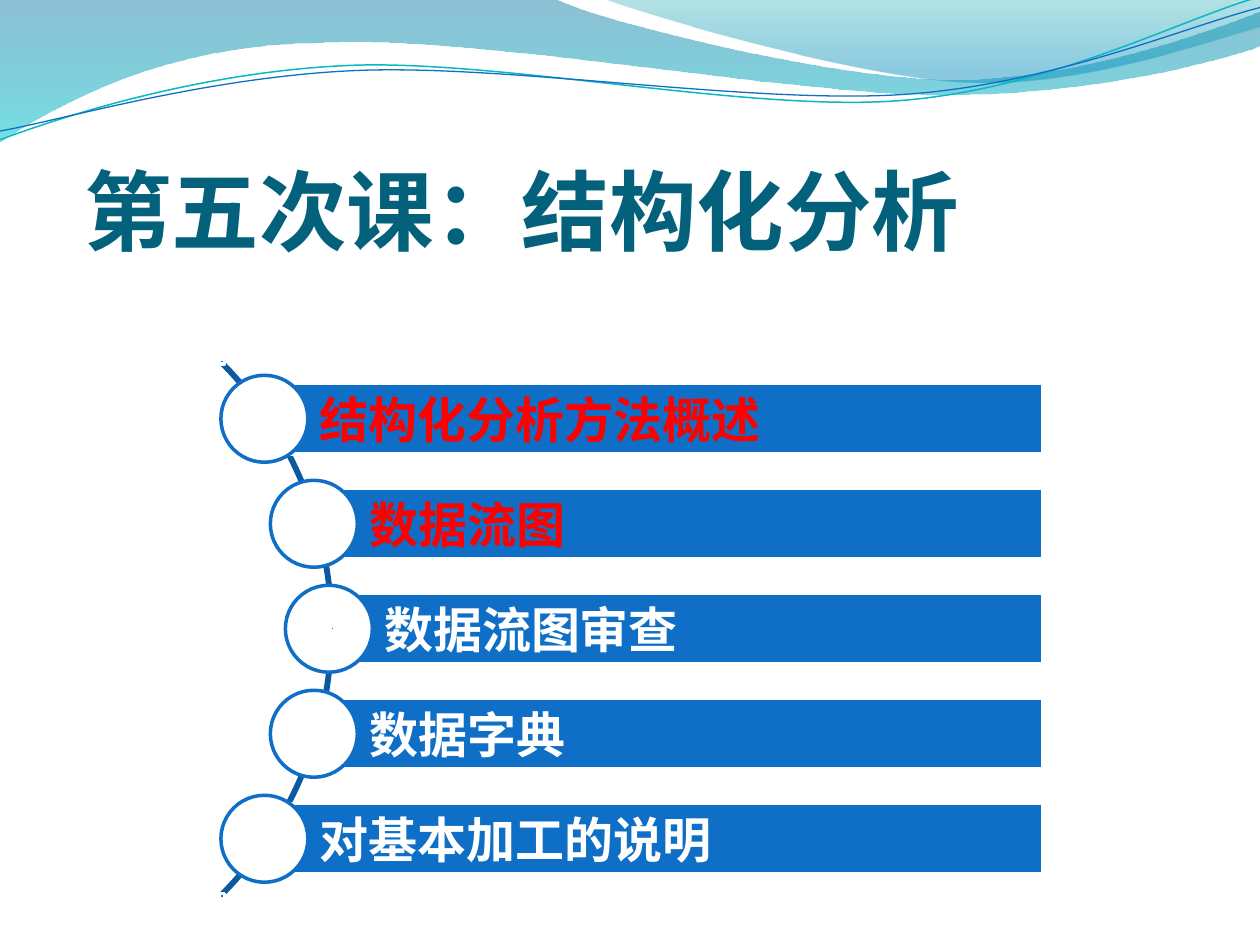
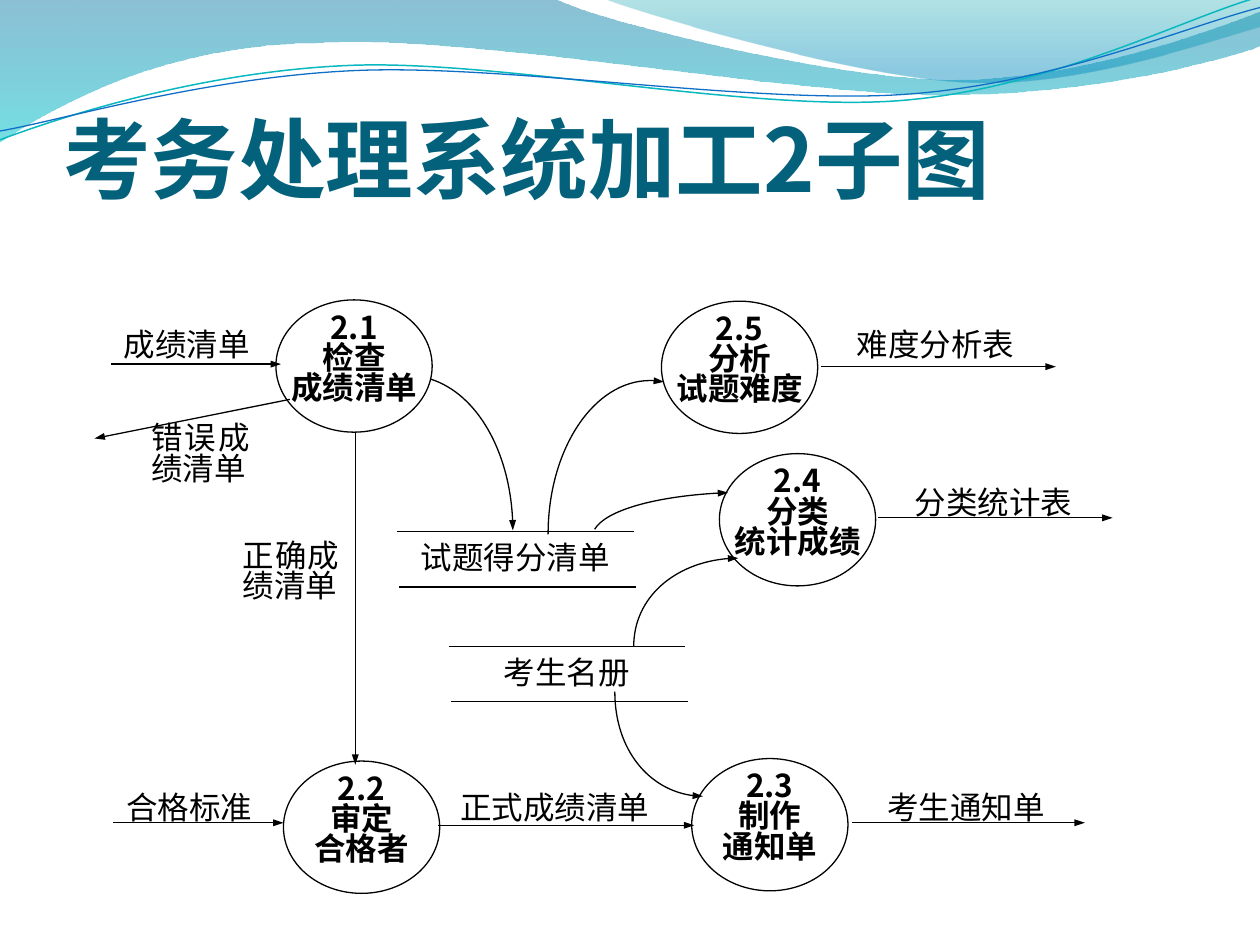
from math import sqrt
from lxml import etree
from pptx import Presentation
from pptx.dml.color import RGBColor
from pptx.enum.shapes import MSO_CONNECTOR, MSO_SHAPE
from pptx.enum.text import MSO_ANCHOR, MSO_AUTO_SIZE, PP_ALIGN
from pptx.oxml.ns import qn
from pptx.util import Inches, Pt

OVAL, RECT, ARC = MSO_SHAPE.OVAL, MSO_SHAPE.RECTANGLE, MSO_SHAPE.BLOCK_ARC
STRAIGHT = MSO_CONNECTOR.STRAIGHT
TOP, MIDDLE, BOTTOM = MSO_ANCHOR.TOP, MSO_ANCHOR.MIDDLE, MSO_ANCHOR.BOTTOM
LEFT, CENTER, JUSTIFY = PP_ALIGN.LEFT, PP_ALIGN.CENTER, PP_ALIGN.JUSTIFY
NOFIT = MSO_AUTO_SIZE.NONE

WIDE, HIGH = 10, 7.5
SANS, SERIF = "Noto Sans CJK SC", "Vollkorn"
COLORS = {
    "title": "04617B", "bar": "0F6FC6", "arc": "0C599F", "teal": "0AB8BF",
    "white": "FFFFFF", "black": "000000", "red": "FF0000",
    "sea": "0074A1", "aqua": "00C6CF", "green": "00A1A9", "sky": "008BBF",
}

BANDS = [
    ([(0, -0.01), (4.4, -0.01), (4.76, 0.17, 6.64, 0.63, 7.58, 0.63),
      (8.53, 0.63, 9.58, 0.26, 10, 0.09), (10.01, 0.36),
      (9.83, 0.44, 8.7, 0.76, 7.46, 0.75), (6.22, 0.75, 3.82, 0.28, 2.57, 0.34),
      (1.29, 0.35, 0.46, 0.83, -0.01, 1.13)],
     [(0, "sea", 45), (1, "aqua", 55)]),
    ([(4.79, -0.01), (5.09, 0.11, 6.82, 0.62, 7.69, 0.65),
      (8.56, 0.69, 9.61, 0.32, 10, 0.21), (10, 0)],
     [(0, "green", 30), (0.8, "sky", 45)]),
]
WAVES = [
    ([(0, 1.11), (0.48, 0.93, 1.58, 0.57, 2.77, 0.52),
      (3.95, 0.47, 5.93, 0.89, 7.13, 0.8), (8.33, 0.71, 9.38, 0.15, 9.98, -0.02)],
     "teal", 0.85),
    ([(0, 1.04), (0.47, 0.96, 1.64, 0.61, 2.83, 0.56),
      (4.03, 0.51, 5.97, 0.83, 7.17, 0.75), (8.36, 0.67, 9.41, 0.21, 10, 0.06)],
     "bar", 0.75),
]

LESSON = "第五次课：结构化分析"
TOPICS = [
    ("结构化分析方法概述", "red"), ("数据流图", "red"), ("数据流图审查", "white"),
    ("数据字典", "white"), ("对基本加工的说明", "white"),
]

CHART = "考务处理系统加工2子图"
STEPS = [
    ("2.1\n检查\n成绩清单", 2.19, 2.38),
    ("2.2\n审定\n合格者", 2.25, 6.04),
    ("2.3\n制作\n通知单", 5.49, 6.02),
    ("2.4\n分类\n统计成绩", 5.71, 3.6),
    ("2.5\n分析\n试题难度", 5.25, 2.39),
]
STORES = [("试题得分清单", 3.15, 4.22), ("考生名册", 3.56, 5.13)]
LABELS = [
    ("难度分析表", 6.54, 2.59, 1.77, CENTER),
    ("分类统计表", 7, 3.84, 1.77, CENTER),
    ("考生通知单", 6.78, 6.26, 1.77, CENTER),
    ("正式成绩清单", 3.52, 6.26, 1.77, CENTER),
    ("合格标准", 0.81, 6.26, 1.38, CENTER),
    ("成绩清单", 0.79, 2.59, 1.38, CENTER),
    ("正确成绩清单", 1.83, 4.26, 0.96, JUSTIFY),
    ("错误成绩清单", 1.1, 3.33, 0.98, JUSTIFY),
]
FLOWS = [
    (6.52, 2.91, 8.38, 2.91), (6.97, 4.11, 8.83, 4.11), (6.76, 6.53, 8.61, 6.53),
    (3.48, 6.55, 5.51, 6.55), (0.9, 6.53, 2.25, 6.53), (0.88, 2.89, 2.23, 2.89),
    (2.82, 3.43, 2.82, 6.07), (2.3, 3.17, 0.75, 3.48),
]
CURVES = [
    [(4.88, 5.49), (4.88, 5.95, 5.19, 6.32, 5.58, 6.32)],
    [(5.03, 5.13), (5.03, 4.74, 5.4, 4.43, 5.86, 4.43)],
    [(4.35, 4.24), (4.35, 3.57, 4.71, 3.02, 5.16, 3.02), (5.19, 3.02, 5.23, 3.03, 5.27, 3.03)],
    [(4.72, 4.2), (4.81, 4.05, 5.24, 3.93, 5.78, 3.91)],
    [(3.42, 3.01), (3.79, 3.13, 4.07, 3.63, 4.07, 4.21)],
]


def tint(name):
    return RGBColor.from_string(COLORS[name])


def paint(shape, fill):
    if not fill:
        shape.fill.background()
    elif isinstance(fill, str):
        shape.fill.solid()
        shape.fill.fore_color.rgb = tint(fill)
    else:
        shape.fill.gradient()
        shape.fill.gradient_angle = 270
        for stop, (place, name, _) in zip(shape.fill.gradient_stops, fill):
            stop.position = place
            stop.color.rgb = tint(name)
        for node, (_, _, solid) in zip(shape.element.spPr.iter(qn("a:srgbClr")), fill):
            etree.SubElement(node, qn("a:alpha")).set("val", str(solid * 1000))


def stroke(shape, color=None, width=0.75, arrow=False):
    if color:
        shape.line.color.rgb = tint(color)
        shape.line.width = Pt(width)
    else:
        shape.line.fill.background()
    props = shape.element.spPr
    if arrow:
        head = etree.SubElement(props.find(qn("a:ln")), qn("a:tailEnd"))
        head.set("type", "triangle")
        head.set("w", "sm")
    etree.SubElement(props, qn("a:effectLst"))


def put(slide, kind, box, fill, color, width):
    shape = slide.shapes.add_shape(kind, *map(Inches, box))
    paint(shape, fill)
    stroke(shape, color, width)
    return shape


def trace(slide, route, fill=None, color=None, width=0.75, arrow=False):
    dots = [(Inches(leg[i]), Inches(leg[i + 1]))
            for leg in route for i in range(0, len(leg), 2)]
    pen = slide.shapes.build_freeform(*dots[0])
    pen.add_line_segments(dots[1:], close=bool(fill))
    shape = pen.convert_to_shape()
    steps = iter(list(shape.element.spPr.iter(qn("a:lnTo"))))
    for leg in route[1:]:
        step = next(steps)
        if len(leg) == 6:
            step.tag = qn("a:cubicBezTo")
            for _ in range(2):
                extra = next(steps)
                step.append(extra[0])
                extra.getparent().remove(extra)
    paint(shape, fill)
    stroke(shape, color, width, arrow)
    return shape


def join(slide, ends, arrow=False):
    line = slide.shapes.add_connector(STRAIGHT, *map(Inches, ends))
    stroke(line, "black", arrow=arrow)


def write(frame, text, size, color, bold=True, align=LEFT, anchor=TOP,
          inset=(0.1, 0.05, 0.1, 0.05), face=SANS, space=1):
    frame.text = text
    frame.word_wrap = True
    frame.auto_size = NOFIT
    frame.vertical_anchor = anchor
    (frame.margin_left, frame.margin_top,
     frame.margin_right, frame.margin_bottom) = map(Inches, inset)
    for para in frame.paragraphs:
        para.alignment = align
        para.line_spacing = space
        for run in para.runs:
            font = run.font
            font.name, font.size, font.bold = face, Pt(size), bold
            font.color.rgb = tint(color)
            props = run.font._element
            etree.SubElement(props, qn("a:ea")).set("typeface", SANS)


def note(slide, text, box, bold=False, align=CENTER):
    area = slide.shapes.add_textbox(*map(Inches, box))
    write(area.text_frame, text, 18, "black", bold, align, space=0.8)


def start(deck, text, box):
    slide = deck.slides.add_slide(deck.slide_layouts[5])
    title = slide.shapes.title
    title.left, title.top, title.width, title.height = map(Inches, box)
    write(title.text_frame, text, 50, "title", anchor=BOTTOM, inset=(0, 0.05, 0, 0))
    return slide


def adorn(deck, slide):
    parts = [trace(slide, route, fill) for route, fill in BANDS]
    parts += [trace(slide, route, None, color, width) for route, color, width in WAVES]
    tree = deck.slide_master.shapes.element
    for i, part in enumerate(parts):
        tree.insert(2 + i, part.element)


def agenda(slide):
    hub, mid, reach, radius = -0.36, 4.99, 2.97, 3
    pitch, thick, ring, edge, dot = 2.5 / 3, 0.56, 0.69, 8.28, 0.04
    arc = put(slide, ARC, (hub - radius, mid - radius, 2 * radius, 2 * radius), None, "arc", 2)
    for i, value in enumerate((189, 27, 0.003)):
        arc.adjustments[i] = value
    for i, (text, color) in enumerate(TOPICS):
        drop = (i - 2) * pitch
        x, y = hub + sqrt(reach ** 2 - drop ** 2), mid + drop
        bar = put(slide, RECT, (x, y - thick / 2, edge - x, thick), "bar", "white", 2)
        write(bar.text_frame, text, 28, color, anchor=MIDDLE,
              inset=(0.44, 0.08, 0.08, 0.08), face=SERIF)
        put(slide, OVAL, (x - ring / 2, y - ring / 2, ring, ring), "white", "bar", 2)
    tip = radius / sqrt(2)
    for x, y in ((tip, -tip), (radius, 0), (tip, tip)):
        put(slide, RECT, (hub + x - dot / 2, mid + y - dot / 2, dot, dot), "bar", "white", 2)


def diagram(slide):
    for text, x, y in STEPS:
        put(slide, OVAL, (x, y, 1.24, 1.05), None, "black", 0.75)
        note(slide, text, (x - 0.09, y + 0.07, 1.42, 0.96), True)
    for text, x, y in STORES:
        join(slide, (x, y, x + 1.88, y))
        join(slide, (x + 0.02, y + 0.44, x + 1.9, y + 0.44))
        note(slide, text, (x + 0.04, y + 0.06, 1.8, 0.55))
    for ends in FLOWS:
        join(slide, ends, True)
    for route in CURVES:
        trace(slide, route, color="black", arrow=True)
    for text, x, y, width, align in LABELS:
        note(slide, text, (x, y, width, 0.57), align=align)


def main():
    deck = Presentation()
    deck.slide_width, deck.slide_height = Inches(WIDE), Inches(HIGH)
    first = start(deck, LESSON, (0.67, 0.83, 7.33, 1.25))
    adorn(deck, first)
    agenda(first)
    diagram(start(deck, CHART, (0.5, 0.42, 9, 1.25)))
    deck.save("out.pptx")


if __name__ == "__main__":
    main()
